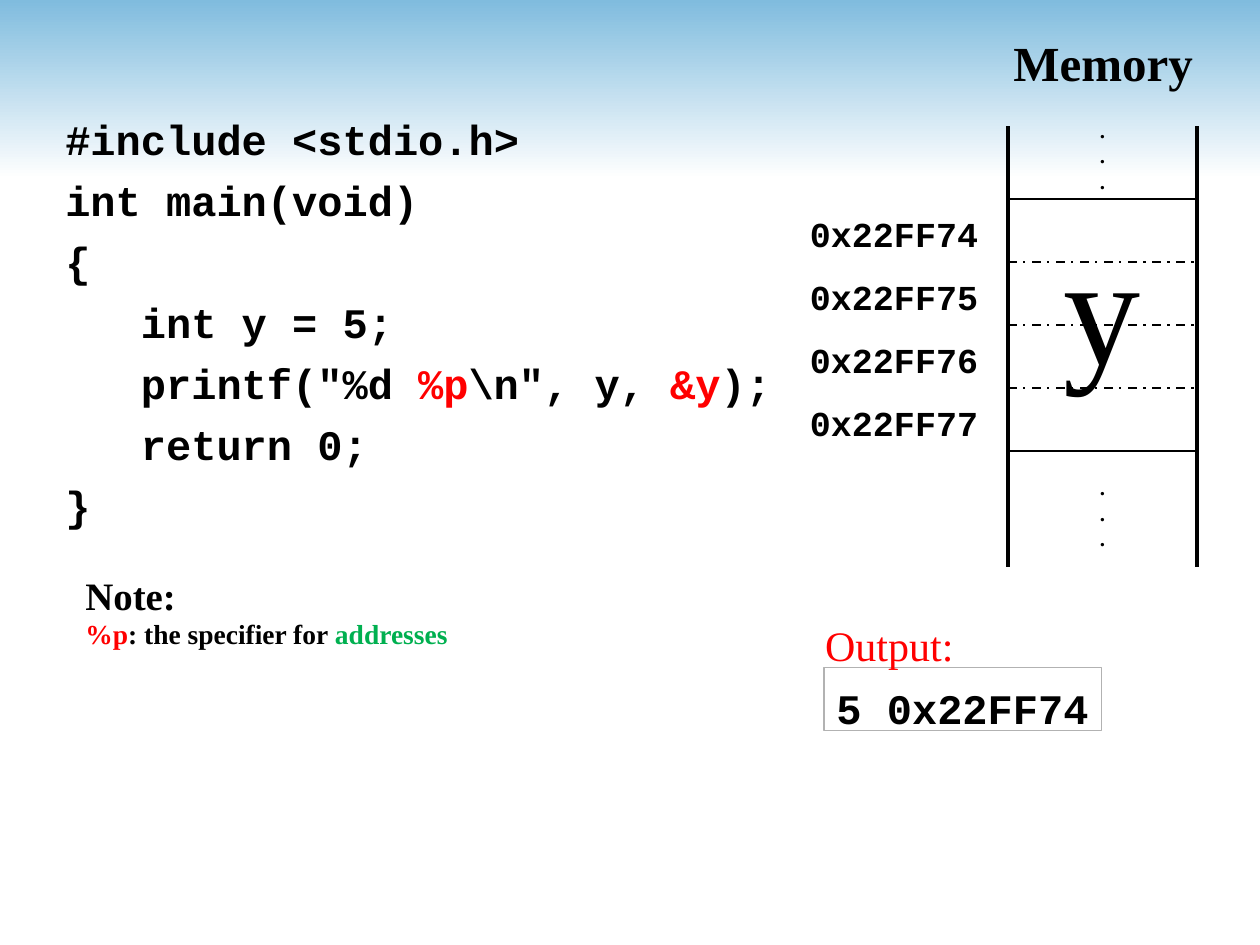
"""Build a slide showing how an int variable and its address sit in memory."""
from dataclasses import dataclass

from pptx import Presentation
from pptx.dml.color import RGBColor
from pptx.enum.dml import MSO_LINE_DASH_STYLE as Dash
from pptx.enum.shapes import MSO_CONNECTOR as Connector, MSO_SHAPE as Shape
from pptx.enum.text import MSO_ANCHOR as Anchor, PP_ALIGN as Align
from pptx.oxml import parse_xml
from pptx.util import Inches, Pt

EMPTY_EFFECTS = '<a:effectLst xmlns:a="http://schemas.openxmlformats.org/drawingml/2006/main"/>'


@dataclass(frozen=True)
class Theme:
    black: str = "000000"
    red: str = "FF0000"
    green: str = "00B050"
    sky: str = "80BCDE"
    white: str = "FFFFFF"
    frame: str = "B2B2B2"
    mono: str = "Courier New"
    serif: str = "Times New Roman"
    variable: float = 88
    heading: float = 28
    code: float = 24
    note: float = 22.2
    address: float = 20
    detail: float = 15.7
    dots: float = 12
    wall: float = 2
    divider: float = 1.25
    border: float = 0.75

    def drop(self, font, size):
        return Pt(size * (0.2 if font == self.mono else 0.1))


class SlideBuilder:
    def __init__(self, slide, theme):
        self.slide = slide
        self.theme = theme

    def band(self, left, top, width, height, start, end):
        band = self.slide.shapes.add_shape(
            Shape.RECTANGLE, Inches(left), Inches(top), Inches(width), Inches(height))
        band.shadow.inherit = False
        band.line.fill.background()
        band.fill.gradient()
        band.fill.gradient_angle = 270
        for stop, color in zip(band.fill.gradient_stops, (start, end)):
            stop.color.rgb = RGBColor.from_string(color)

    def box(self, left, top, width, height, color):
        box = self.slide.shapes.add_shape(
            Shape.RECTANGLE, Inches(left), Inches(top), Inches(width), Inches(height))
        box.shadow.inherit = False
        box.fill.background()
        box.line.color.rgb = RGBColor.from_string(color)
        box.line.width = Pt(self.theme.border)
        return box

    def text(self, left, top, width, height, lines, size, font=None, bold=True,
             align=Align.LEFT, pitch=None, wrap=True, holder=None):
        font = font or self.theme.serif
        holder = holder or self.slide.shapes.add_textbox(
            Inches(left), Inches(top), Inches(width), Inches(height))
        frame = holder.text_frame
        layout = {
            "word_wrap": wrap,
            "vertical_anchor": Anchor.TOP,
            "margin_left": Inches(0.1),
            "margin_right": Inches(0.1),
            "margin_top": Inches(0.05) + self.theme.drop(font, size),
            "margin_bottom": Inches(0),
        }
        for name, value in layout.items():
            setattr(frame, name, value)
        for number, (indent, pieces) in enumerate(lines):
            paragraph = frame.add_paragraph() if number else frame.paragraphs[0]
            paragraph.alignment = align
            if pitch:
                paragraph.line_spacing = Pt(pitch)
            if indent:
                paragraph._p.get_or_add_pPr().set("marL", str(Inches(indent)))
            for words, color, *own_size in pieces:
                run = paragraph.add_run()
                run.text = words
                style = {"name": font, "bold": bold,
                         "size": Pt(own_size[0] if own_size else size)}
                for name, value in style.items():
                    setattr(run.font, name, value)
                run.font.color.rgb = RGBColor.from_string(color)

    def line(self, x1, y1, x2, y2, width, dash=None):
        line = self.slide.shapes.add_connector(
            Connector.STRAIGHT, Inches(x1), Inches(y1), Inches(x2), Inches(y2))
        line.line.color.rgb = RGBColor.from_string(self.theme.black)
        line.line.width = Pt(width)
        if dash:
            line.line.dash_style = dash
        line._element.spPr.append(parse_xml(EMPTY_EFFECTS))


def main():
    deck = Presentation()
    deck.slide_width, deck.slide_height = Inches(10), Inches(7.5)
    theme = Theme()
    page = SlideBuilder(deck.slides.add_slide(deck.slide_layouts[6]), theme)
    black, red = theme.black, theme.red

    page.band(0, 0, 10, 1.42, theme.sky, theme.white)

    memory_left, memory_right = 8, 9.5
    memory_width = memory_right - memory_left
    first_cell, cell_height = 1.58, 0.5
    addresses = ["0x22FF74", "0x22FF75", "0x22FF76", "0x22FF77"]

    page.text(memory_left, 1.5, memory_width, 1.57, [(0, [("y", black)])],
              theme.variable, bold=False, align=Align.CENTER)

    program = [
        (0, [("#include <stdio.h>", black)]),
        (0, [("int main(void)", black)]),
        (0, [("{", black)]),
        (0.6, [("int y = 5;", black)]),
        (0.6, [('printf("%d ', black), ("%p", red), ('\\n", y, ', black),
               ("&y", red), (");", black)]),
        (0.6, [("return 0;", black)]),
        (0, [("}", black)]),
    ]
    page.text(0.42, 0.7, 5.9, 3.6, program, theme.code, theme.mono, pitch=34.9)

    result = page.box(6.54, 5.3, 2.2, 0.5, theme.frame)
    page.text(6.54, 5.3, 2.2, 0.5, [(0, [("5 0x22FF74", black)])],
              theme.code, theme.mono, wrap=False, holder=result)
    page.text(6.45, 4.83, 1.22, 0.5, [(0, [("Output:", red)])],
              theme.code, bold=False, wrap=False)

    note = [
        (0, [("Note:", black)]),
        (0, [("%p", red, theme.detail), (": the specifier for ", black, theme.detail),
             ("addresses", theme.green, theme.detail)]),
    ]
    page.text(0.58, 4.57, 3.5, 0.74, note, theme.note, pitch=18.3)

    for wall in (memory_left, memory_right):
        page.line(wall, 1, wall, 4.5, theme.wall)
    for index in range(len(addresses) + 1):
        edge = first_cell + index * cell_height
        outer = index in (0, len(addresses))
        page.line(memory_left, edge, memory_right, edge, theme.divider,
                  None if outer else Dash.DASH_DOT)
    for index, address in enumerate(addresses):
        page.text(6.33, first_cell + index * cell_height, 1.67, 0.44,
                  [(0, [(address, black)])], theme.address, theme.mono)
    for top in (0.86, 3.7):
        page.text(memory_left, top, memory_width, 0.7, [(0, [(".", black)])] * 3,
                  theme.dots, align=Align.CENTER, pitch=14.6)

    page.text(7.67, 0.17, 2.17, 0.57, [(0, [("Memory", black)])],
              theme.heading, align=Align.CENTER)

    deck.save("out.pptx")


if __name__ == "__main__":
    main()
